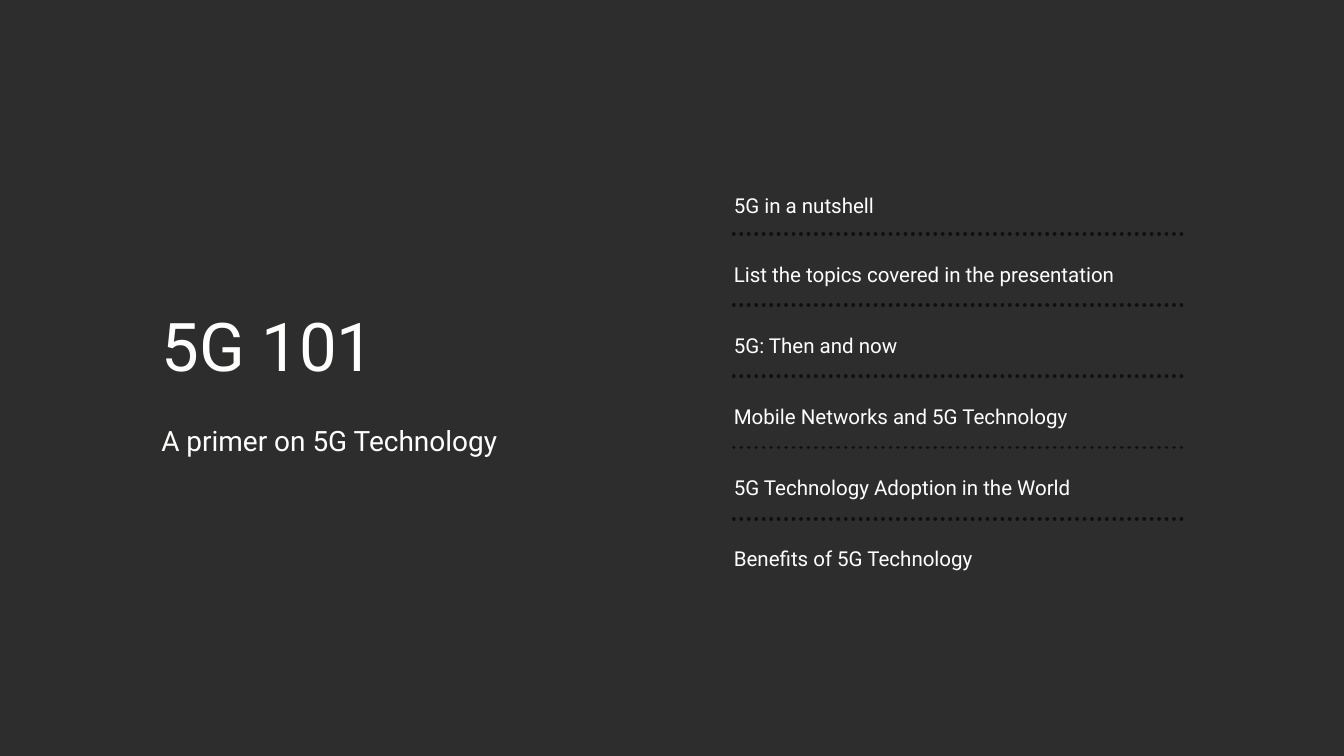
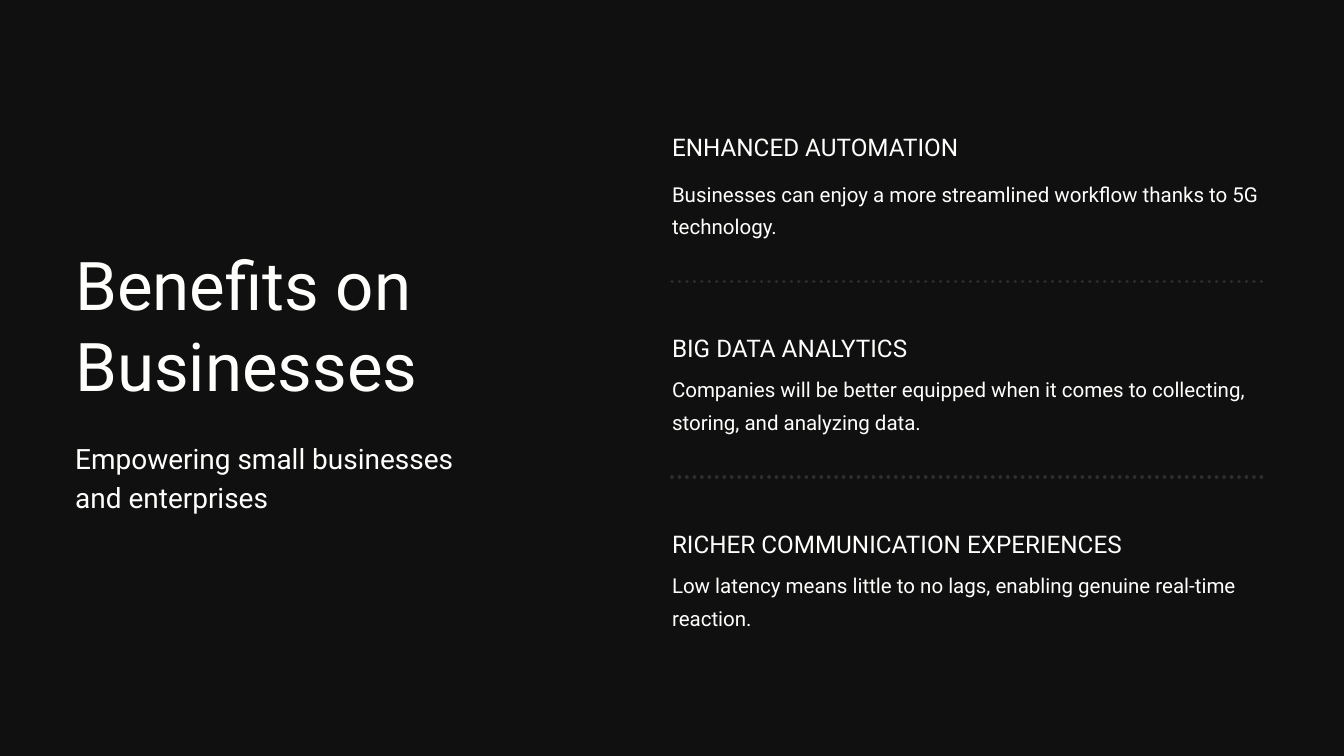
"""Build two dark 5G slides, each with a title at left and a ruled list at right."""
from dataclasses import dataclass

from lxml import etree
from pptx import Presentation, slide as sl
from pptx.dml import color as col
from pptx.enum import dml, text
from pptx.oxml import ns
from pptx.shapes import shapetree as tree
from pptx.util import Inches, Pt

FONT = "Roboto"
WHITE, GREY, BLACK = "FEFFFD", "2E2D2D", "101010"


@dataclass(frozen=True)
class Style:
    """Text size and line pitch in points."""
    size: float
    pitch: float


@dataclass(frozen=True)
class Label:
    """A text with its box in inches."""
    words: str
    left: float
    top: float
    width: float
    height: float


@dataclass(frozen=True)
class Benefit:
    """A heading, the body below it and the gap between their tops."""
    head: str
    body: str
    gap: float = 0.6


TITLE, SUB = Style(72, 86.4), Style(30, 42)
HEAD, BODY = Style(26, 36.4), Style(22, 35.2)

TOPICS = (
    "5G in a nutshell",
    "List the topics covered in the presentation",
    "5G: Then and now",
    "Mobile Networks and 5G Technology",
    "5G Technology Adoption in the World",
    "Benefits of 5G Technology",
)
BENEFITS = (
    Benefit("ENHANCED AUTOMATION",
            "Businesses can enjoy a more streamlined workflow thanks to 5G technology.", 0.68),
    Benefit("BIG DATA ANALYTICS",
            "Companies will be better equipped when it comes to collecting, "
            "storing, and analyzing data."),
    Benefit("RICHER COMMUNICATION EXPERIENCES",
            "Low latency means little to no lags, enabling genuine real-time reaction."),
)


def rgb(code: str) -> col.RGBColor:
    """Turn a hex string into a colour."""
    return col.RGBColor.from_string(code)


def write(group: tree.GroupShapes, label: Label, style: Style) -> None:
    """Add a text box without margins."""
    box = group.add_textbox(Inches(label.left), Inches(label.top),
                            Inches(label.width), Inches(label.height))
    frame = box.text_frame
    frame.margin_left = frame.margin_right = frame.margin_top = frame.margin_bottom = 0
    frame.word_wrap = True
    frame.auto_size = text.MSO_AUTO_SIZE.SHAPE_TO_FIT_TEXT
    frame.text = label.words
    for para in frame.paragraphs:
        para.line_spacing = Pt(style.pitch)
        for run in para.runs:
            run.font.name = FONT
            run.font.size = Pt(style.size)
            run.font.color.rgb = rgb(WHITE)


def rule(group: tree.GroupShapes, left: float, top: float, width: float, hue: str) -> None:
    """Add a level line of round dots."""
    line = group.add_connector(1, Inches(left), Inches(top), Inches(left + width), Inches(top))
    line.line.color.rgb = rgb(hue)
    line.line.width = Pt(4)
    line.line.dash_style = dml.MSO_LINE.ROUND_DOT
    props = line.element.spPr
    props.find(ns.qn("a:ln")).set("cap", "rnd")
    etree.SubElement(props, ns.qn("a:effectLst"))


def start(deck: Presentation, back: str, title: Label, sub: Label) -> sl.Slide:
    """Add a blank slide with its background, title and subtitle."""
    page = deck.slides.add_slide(deck.slide_layouts[6])
    page.background.fill.solid()
    page.background.fill.fore_color.rgb = rgb(back)
    group = page.shapes.add_group_shape().shapes
    write(group, title, TITLE)
    write(group, sub, SUB)
    return page


def agenda(deck: Presentation) -> None:
    """Build the slide that lists the topics."""
    page = start(deck, GREY, Label("5G 101", 2.4, 4.53, 6.86, 1.21),
                 Label("A primer on 5G Technology", 2.4, 6.22, 5.61, 0.55))
    group = page.shapes.add_group_shape().shapes
    left, width, step = 10.92, 6.68, 1.06
    rules = [3.48 + step * i for i in range(len(TOPICS) - 1)]
    for top in rules:
        rule(group, left, top, width, BLACK)
    tops = [2.75] + [top + 0.29 for top in rules]
    for topic, top in zip(TOPICS, tops):
        write(group, Label(topic, left, top, width, 0.43), BODY)


def benefits(deck: Presentation) -> None:
    """Build the slide on what businesses gain."""
    page = start(deck, BLACK, Label("Benefits on Businesses", 1.12, 3.62, 7.23, 2.4),
                 Label("Empowering small businesses\nand enterprises", 1.12, 6.48, 7.23, 1.15))
    group = page.shapes.add_group_shape().shapes
    left, width, step = 10, 8.88, 2.91
    for i, item in enumerate(BENEFITS):
        top = 2.58 + step * i
        write(group, Label(item.head, left, top - item.gap, width, 0.47), HEAD)
        write(group, Label(item.body, left, top, width, 0.91), BODY)
        if i:
            rule(group, left, top - 1.3, width, GREY)


def main() -> None:
    """Build and save the deck."""
    deck = Presentation()
    deck.slide_width, deck.slide_height = Inches(20), Inches(11.25)
    agenda(deck)
    benefits(deck)
    deck.save("out.pptx")


if __name__ == "__main__":
    main()
